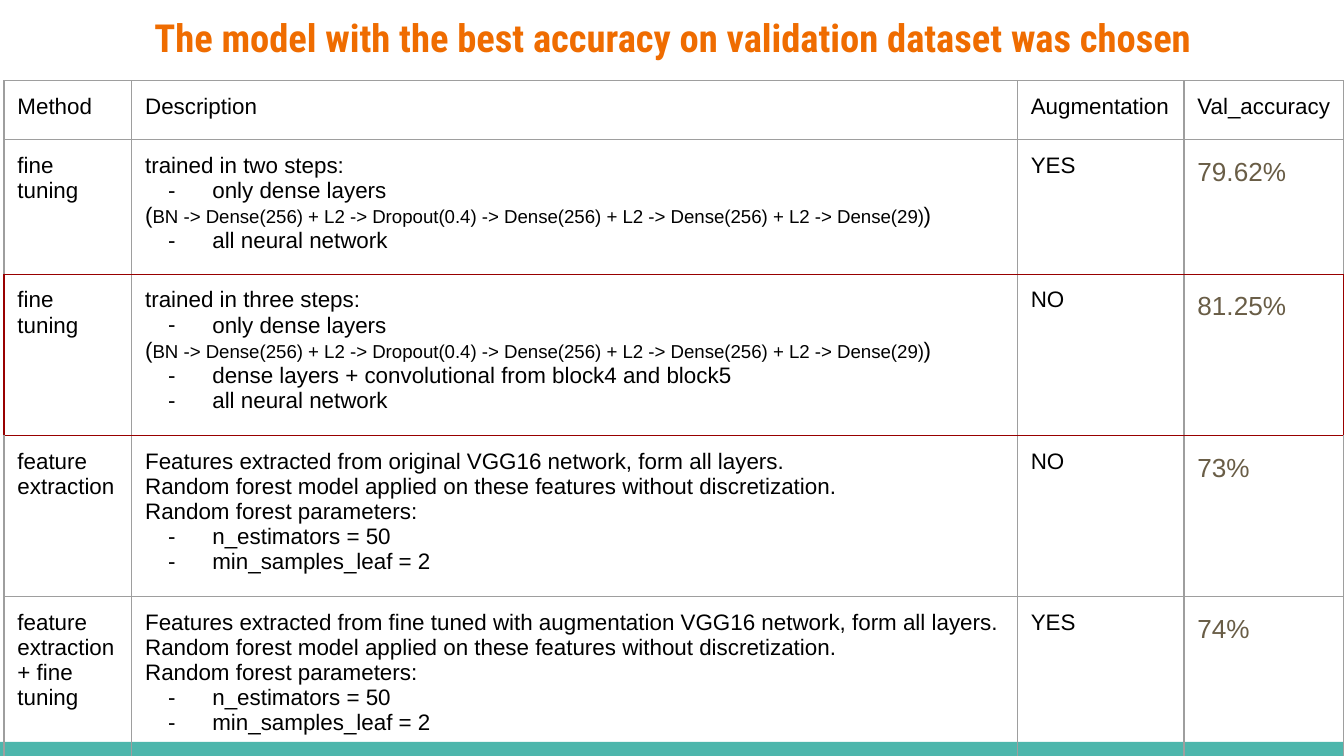
from lxml.etree import SubElement
from pptx import Presentation
from pptx.dml.color import RGBColor
from pptx.enum.shapes import MSO_SHAPE
from pptx.enum.text import MSO_ANCHOR, PP_ALIGN
from pptx.oxml.ns import qn
from pptx.util import Inches, Pt

ORANGE = RGBColor(0xEF, 0x6C, 0x00)
TEAL = RGBColor(0x4D, 0xB6, 0xAC)
BLACK = RGBColor(0x00, 0x00, 0x00)
BROWN = RGBColor(0x69, 0x5D, 0x46)
GRAY = RGBColor(0x9E, 0x9E, 0x9E)
DARK_RED = RGBColor(0x98, 0x00, 0x00)

COLUMN_WIDTHS = (0.95, 6.59, 1.24, 1.19)
ROW_HEIGHTS = (0.44, 0.96, 1.15, 1.15, 1.34)
BEST_ROW = 2
BULLET = "- "

# Descriptions: a tuple is a line whose middle part is smaller
DENSE_LAYERS = (
    "(",
    "BN -> Dense(256) + L2 -> Dropout(0.4) -> Dense(256) + L2"
    " -> Dense(256) + L2 -> Dense(29)",
    ")",
)
DENSE_STEP = ["- only dense layers", DENSE_LAYERS]
FOREST = [
    "Random forest model applied on these features without discretization.",
    "Random forest parameters:",
    "- n_estimators = 50",
    "- min_samples_leaf = 2",
]
ROWS = [
    ("Method", ["Description"], "Augmentation", "Val_accuracy"),
    ("fine tuning",
     ["trained in two steps:", *DENSE_STEP, "- all neural network"],
     "YES", "79.62%"),
    ("fine tuning",
     ["trained in three steps:", *DENSE_STEP,
      "- dense layers + convolutional from block4 and block5",
      "- all neural network"],
     "NO", "81.25%"),
    ("feature extraction",
     ["Features extracted from original VGG16 network, form all layers.",
      *FOREST],
     "NO", "73%"),
    ("feature extraction + fine tuning",
     ["Features extracted from fine tuned with augmentation VGG16 network,"
      " form all layers.", *FOREST],
     "YES", "74%"),
]


def style_font(font, size, color, name="Arial"):
    font.name = name
    font.size = Pt(size)
    font.color.rgb = color


def add_dash_bullet(paragraph):
    properties = paragraph._p.get_or_add_pPr()
    properties.set("marL", str(Inches(0.5)))
    properties.set("indent", str(Inches(-0.33)))
    bullet_color = SubElement(properties, qn("a:buClr"))
    SubElement(bullet_color, qn("a:srgbClr"), val=str(BLACK))
    SubElement(properties, qn("a:buFont"), typeface="Arial")
    SubElement(properties, qn("a:buChar"), char="-")


def write_line(paragraph, line, size, color):
    if isinstance(line, tuple):
        for part, part_size in zip(line, (size, 10, size)):
            run = paragraph.add_run()
            run.text = part
            style_font(run.font, part_size, color)
    else:
        if line.startswith(BULLET):
            add_dash_bullet(paragraph)
        paragraph.text = line.removeprefix(BULLET)
        style_font(paragraph.font, size, color)
    # The paragraph mark counts toward the row height
    SubElement(paragraph._p, qn("a:endParaRPr"), sz=str(size * 100))


def set_borders(cell, colors):
    properties = cell._tc.get_or_add_tcPr()
    for side, color in zip("LRTB", colors):
        line = SubElement(properties, qn(f"a:ln{side}"), w=str(Pt(0.75)))
        fill = SubElement(line, qn("a:solidFill"))
        SubElement(fill, qn("a:srgbClr"), val=str(color))


def border_colors(row, column):
    """Left, right, top and bottom: the best model's row is outlined."""
    best = row == BEST_ROW
    outlined = (
        best and column == 0,
        best and column == len(COLUMN_WIDTHS) - 1,
        row in (BEST_ROW, BEST_ROW + 1),
        row in (BEST_ROW - 1, BEST_ROW),
    )
    return [DARK_RED if edge else GRAY for edge in outlined]


def fill_cell(cell, content, row, column):
    is_accuracy = row > 0 and column == len(COLUMN_WIDTHS) - 1
    size, color = (14, BROWN) if is_accuracy else (12, BLACK)
    lines = content if isinstance(content, list) else [content]
    frame = cell.text_frame
    for index, line in enumerate(lines):
        paragraph = frame.add_paragraph() if index else frame.paragraphs[0]
        write_line(paragraph, line, size, color)
    if is_accuracy:
        frame.paragraphs[0].line_spacing = 1.15
    cell.margin_left = cell.margin_right = Inches(0.1)
    cell.margin_top = cell.margin_bottom = Inches(0.1)
    set_borders(cell, border_colors(row, column))
    cell.fill.background()


def add_footer_bar(slide):
    bar = slide.shapes.add_shape(
        MSO_SHAPE.RECTANGLE, 0, Inches(5.52), Inches(10), Inches(0.11))
    bar.shadow.inherit = False
    bar.fill.solid()
    bar.fill.fore_color.rgb = TEAL
    bar.line.fill.background()


def add_title(slide, text):
    title = slide.shapes.add_textbox(Inches(0.03), 0, Inches(9.95), Inches(0.6))
    frame = title.text_frame
    frame.word_wrap = True
    frame.vertical_anchor = MSO_ANCHOR.TOP
    frame.margin_left = frame.margin_right = Inches(0.1)
    frame.margin_top = frame.margin_bottom = Inches(0.1)
    paragraph = frame.paragraphs[0]
    paragraph.text = text
    paragraph.alignment = PP_ALIGN.CENTER
    style_font(paragraph.font, 20.7, ORANGE, "Roboto Condensed")
    paragraph.font.bold = True


def add_results_table(slide):
    table = slide.shapes.add_table(
        len(ROWS), len(COLUMN_WIDTHS), Inches(0.03), Inches(0.6),
        Inches(sum(COLUMN_WIDTHS)), Inches(sum(ROW_HEIGHTS))).table
    table.first_row = table.horz_banding = False
    for column, width in zip(table.columns, COLUMN_WIDTHS):
        column.width = Inches(width)
    for row, height in zip(table.rows, ROW_HEIGHTS):
        row.height = Inches(height)
    for row, contents in enumerate(ROWS):
        for column, content in enumerate(contents):
            fill_cell(table.cell(row, column), content, row, column)


def main():
    presentation = Presentation()
    # Widescreen, 16:9
    presentation.slide_width = Inches(10)
    presentation.slide_height = Inches(10 * 9 / 16)
    slide = presentation.slides.add_slide(presentation.slide_layouts[6])
    add_footer_bar(slide)
    add_title(slide, "The model with the best accuracy on validation dataset was chosen")
    add_results_table(slide)
    presentation.save("out.pptx")


if __name__ == "__main__":
    main()
